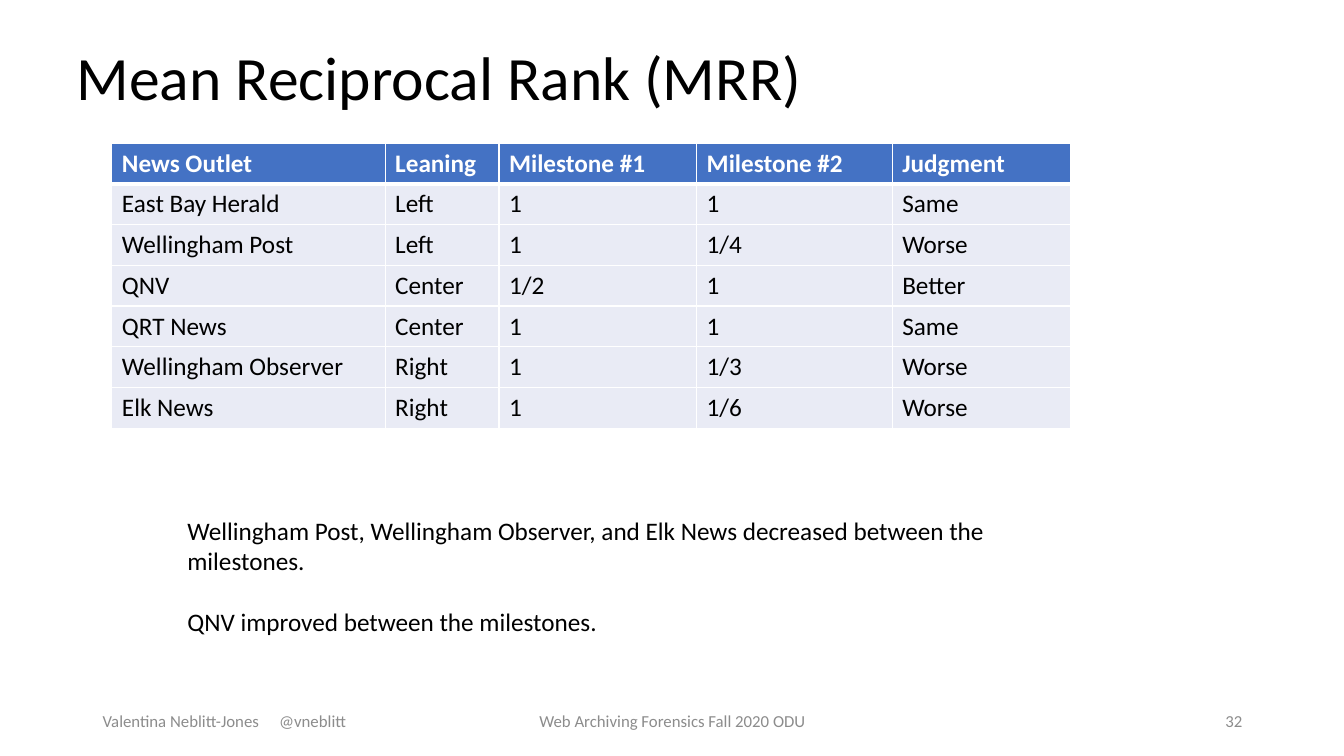
from lxml import etree
from pptx import Presentation
from pptx import util as u
from pptx.dml.color import RGBColor
from pptx.enum import text
from pptx.oxml.ns import qn

COLORS = {"ink": "000000", "white": "FFFFFF", "head": "4472C4",
          "band": "E9EBF5", "footer": "8C8C8C"}
FONT = "Calibri"

deck = Presentation()
deck.slide_width, deck.slide_height = u.Inches(13.33), u.Inches(7.5)
page = deck.slides.add_slide(deck.slide_layouts[5])


def style(para, size, color, bold=False):
    values = {"name": FONT, "size": u.Pt(size), "bold": bold}
    for key, value in values.items():
        setattr(para.font, key, value)
    para.font.color.rgb = RGBColor.from_string(COLORS[color])


def add_text(left, top, width, height):
    """Add a wrapping text box, placed in inches, and return its frame."""
    box = page.shapes.add_textbox(*map(u.Inches, (left, top, width, height)))
    box.text_frame.word_wrap = True
    return box.text_frame


# Title
title = page.shapes.title
place = {"left": 0.66, "top": 0.35, "width": 11.5, "height": 0.9}
for key, value in place.items():
    setattr(title, key, u.Inches(value))
frame = title.text_frame
frame.text = "Mean Reciprocal Rank (MRR)"
frame.auto_size = text.MSO_AUTO_SIZE.NONE
frame.vertical_anchor = text.MSO_ANCHOR.MIDDLE
frame.paragraphs[0].alignment = text.PP_ALIGN.LEFT
frame.paragraphs[0].line_spacing = 0.9
style(frame.paragraphs[0], 44, "ink")

# Footer
TAB_STOP = 1.75
footers = [
    (0.92, 3, text.PP_ALIGN.LEFT, "Valentina Neblitt-Jones\t@vneblitt"),
    (4.42, 4.5, text.PP_ALIGN.CENTER, "Web Archiving Forensics Fall 2020 ODU"),
    (9.42, 3, text.PP_ALIGN.RIGHT, "32"),
]
for left, width, align, words in footers:
    frame = add_text(left, 6.95, width, 0.4)
    frame.vertical_anchor = text.MSO_ANCHOR.MIDDLE
    para = frame.paragraphs[0]
    para.text = words
    para.alignment = align
    if "\t" in words:
        tabs = etree.SubElement(para._p.get_or_add_pPr(), qn("a:tabLst"))
        etree.SubElement(tabs, qn("a:tab"), pos=str(u.Inches(TAB_STOP)), algn="l")
    style(para, 12, "footer")

# Rank table
outlets = [
    ("News Outlet", "Leaning", "Milestone #1", "Milestone #2", "Judgment"),
    ("East Bay Herald", "Left", "1", "1", "Same"),
    ("Wellingham Post", "Left", "1", "1/4", "Worse"),
    ("QNV", "Center", "1/2", "1", "Better"),
    ("QRT News", "Center", "1", "1", "Same"),
    ("Wellingham Observer", "Right", "1", "1/3", "Worse"),
    ("Elk News", "Right", "1", "1/6", "Worse"),
]
columns = [2.71, 1.13, 1.96, 1.94, 1.77]
table = page.shapes.add_table(
    len(outlets), len(columns), u.Inches(1.11), u.Inches(1.42),
    u.Inches(sum(columns)), u.Inches(2.83)).table
table.horz_banding = False
for column, width in zip(table.columns, columns):
    column.width = u.Inches(width)

for r, outlet in enumerate(outlets):
    for c, words in enumerate(outlet):
        cell = table.cell(r, c)
        cell.text = words
        style(cell.text_frame.paragraphs[0], 18, "ink" if r else "white", r == 0)
        for side in "LRTB":
            thick = (r, side) in [(0, "B"), (1, "T")]
            border = etree.SubElement(cell._tc.get_or_add_tcPr(), qn("a:ln" + side),
                                      w=str(u.Pt(3 if thick else 1)))
            fill = etree.SubElement(border, qn("a:solidFill"))
            etree.SubElement(fill, qn("a:srgbClr"), val=COLORS["white"])
        cell.fill.solid()
        cell.fill.fore_color.rgb = RGBColor.from_string(COLORS["band" if r else "head"])

# Findings
frame = add_text(1.76, 5.06, 8.71, 1.31)
frame.text = ("Wellingham Post, Wellingham Observer, and Elk News decreased "
              "between the milestones.\nQNV improved between the milestones.")
for para in frame.paragraphs:
    style(para, 18, "ink")
frame.paragraphs[1].space_before = u.Pt(22)

deck.save("out.pptx")
